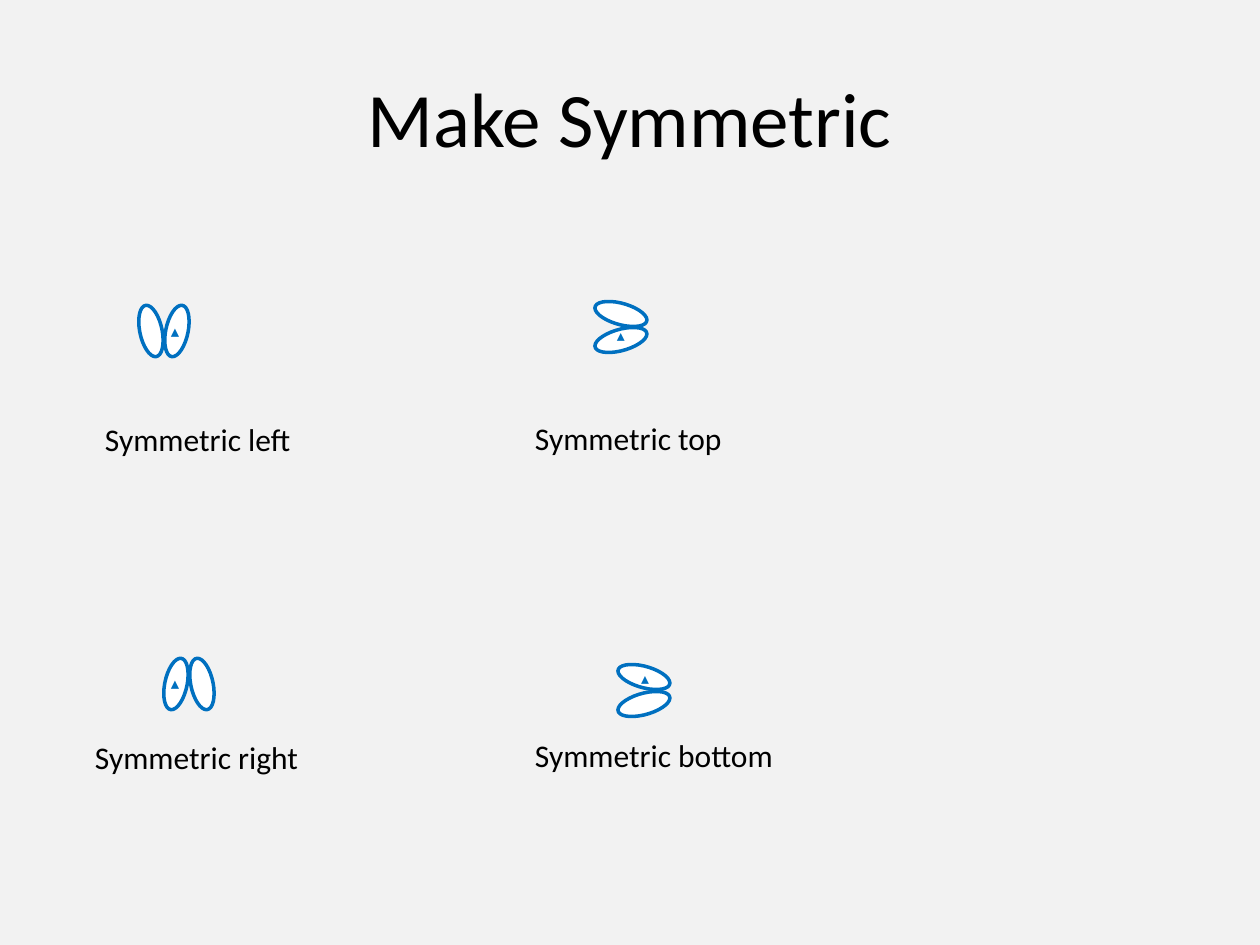
from math import hypot

from lxml.etree import SubElement
from pptx import Presentation
from pptx.dml.color import RGBColor
from pptx.enum.text import MSO_ANCHOR as Anchor, MSO_AUTO_SIZE as AutoSize, PP_ALIGN as Align
from pptx.oxml.ns import qn
from pptx.util import Pt

EMU_PER_PX = 914400 / 126
BACKGROUND = RGBColor(0xF2, 0xF2, 0xF2)
BLACK = RGBColor(0, 0, 0)
WHITE = RGBColor(0xFF, 0xFF, 0xFF)
BLUE = RGBColor(0x00, 0x70, 0xC0)
FONT = "Calibri"
MARK = "▴"
ARC = 0.55  # handle length of a quarter arc
# Offsets from the centre of a leaf to its waist and its tip
UPRIGHT = ((-10, -6), (7, -25))
FLAT = ((0, -11), (26, -6))


def px(value):
    return round(value * EMU_PER_PX)


def write(shape, text, size, color=BLACK, align=Align.LEFT, anchor=Anchor.TOP,
          insets=(13, 6, 13, 6), wrap=True, grow=False):
    frame = shape.text_frame
    frame.word_wrap = wrap
    frame.auto_size = AutoSize.SHAPE_TO_FIT_TEXT if grow else AutoSize.NONE
    frame.vertical_anchor = anchor
    frame.margin_left, frame.margin_top, frame.margin_right, frame.margin_bottom = map(px, insets)
    para = frame.paragraphs[0]
    para.alignment = align
    span = para.add_run()
    span.text = text
    span.font.name = FONT
    span.font.size = Pt(size)
    span.font.color.rgb = color


def add_text(page, left, top, width, height, text, size, **style):
    box = page.shapes.add_textbox(px(left), px(top), px(width), px(height))
    write(box, text, size, **style)


def curve_outline(shape, start, arcs):
    """Give the shape a closed outline of cubic arcs, in px from its top left."""
    path = shape.element.find(".//" + qn("a:path"))
    for step in list(path):
        path.remove(step)
    for tag, points in [("a:moveTo", [start])] + [("a:cubicBezTo", arc) for arc in arcs]:
        step = SubElement(path, qn(tag))
        for x, y in points:
            SubElement(step, qn("a:pt"), x=str(px(x)), y=str(px(y)))
    SubElement(path, qn("a:close"))


def add_leaf(page, x, y, form, flip_x=1, flip_y=1):
    """Draw a slanted ellipse centred at x, y."""
    waist, tip = [(flip_x * dx, flip_y * dy) for dx, dy in form]
    half_width, half_height = hypot(waist[0], tip[0]), hypot(waist[1], tip[1])
    left, right = px(x - half_width), px(x + half_width)
    top, bottom = px(y - half_height), px(y + half_height)
    builder = page.shapes.build_freeform(left, top, scale=1)
    builder.add_line_segments([(right, top), (right, bottom), (left, bottom)], close=True)
    leaf = builder.convert_to_shape()

    def place(a, b):
        return (half_width + a * waist[0] + b * tip[0],
                half_height + a * waist[1] + b * tip[1])

    corners = [(1, 0), (0, 1), (-1, 0), (0, -1)]
    arcs = []
    for (a, b), (c, d) in zip(corners, corners[1:] + corners[:1]):
        arcs.append([place(a + ARC * c, b + ARC * d), place(c + ARC * a, d + ARC * b),
                     place(c, d)])
    curve_outline(leaf, place(1, 0), arcs)
    leaf.shadow.inherit = False
    leaf.fill.solid()
    leaf.fill.fore_color.rgb = WHITE
    leaf.line.color.rgb = BLUE
    leaf.line.width = Pt(2)
    return leaf


def add_mark(page, left, top, size):
    add_text(page, left, top, 6, 20, MARK, size, color=BLUE, anchor=Anchor.BOTTOM,
             insets=(0, 0, 0, 0), grow=True)


def add_label(page, left, top, width, text):
    add_text(page, left, top, width, 50, text, 18, wrap=False, grow=True)


def main():
    deck = Presentation()
    deck.slide_width, deck.slide_height = px(1260), px(945)
    page = deck.slides.add_slide(deck.slide_layouts[6])
    page.background.fill.solid()
    page.background.fill.fore_color.rgb = BACKGROUND

    add_text(page, 63, 38, 1134, 158, "Make Symmetric", 44,
             align=Align.CENTER, anchor=Anchor.MIDDLE)

    add_leaf(page, 177, 331, UPRIGHT)
    add_leaf(page, 151, 331, UPRIGHT, flip_x=-1)
    add_mark(page, 171, 321, 9.5)
    add_label(page, 92, 414, 213, "Symmetric left")

    add_leaf(page, 176, 684, UPRIGHT)
    add_leaf(page, 202, 684, UPRIGHT, flip_x=-1)
    add_mark(page, 171, 673, 9.5)
    add_label(page, 82, 732, 231, "Symmetric right")

    marked_leaf = add_leaf(page, 621, 340, FLAT)
    write(marked_leaf, MARK, 9, color=BLUE, align=Align.CENTER, anchor=Anchor.BOTTOM,
          insets=(13, 6, 13, 8))
    add_leaf(page, 621, 314, FLAT, flip_y=-1)

    add_leaf(page, 644, 704, FLAT)
    add_leaf(page, 644, 677, FLAT, flip_y=-1)
    add_label(page, 522, 413, 214, "Symmetric top")
    add_label(page, 522, 730, 266, "Symmetric bottom")
    add_mark(page, 641, 668, 9)

    deck.save("out.pptx")


if __name__ == "__main__":
    main()
